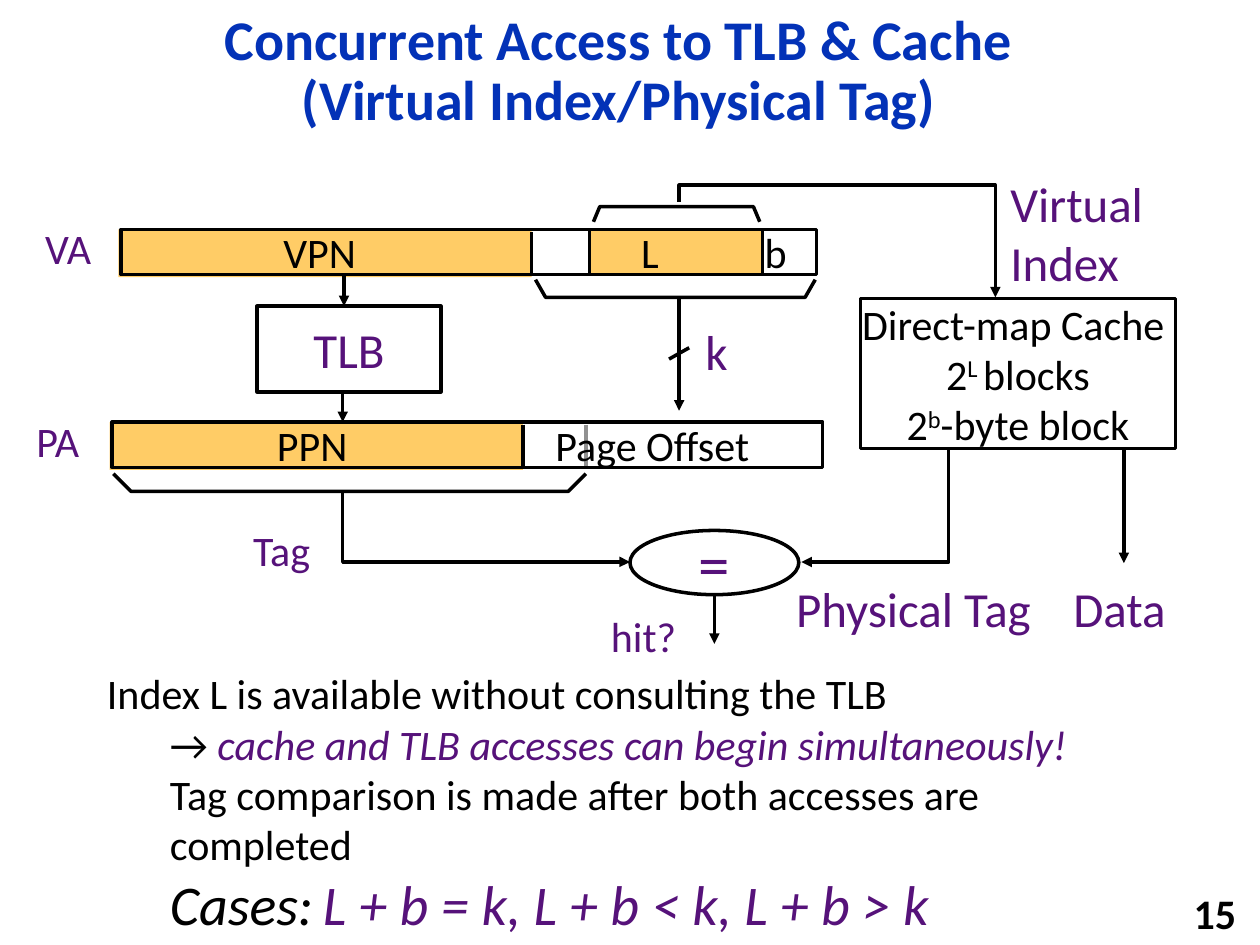
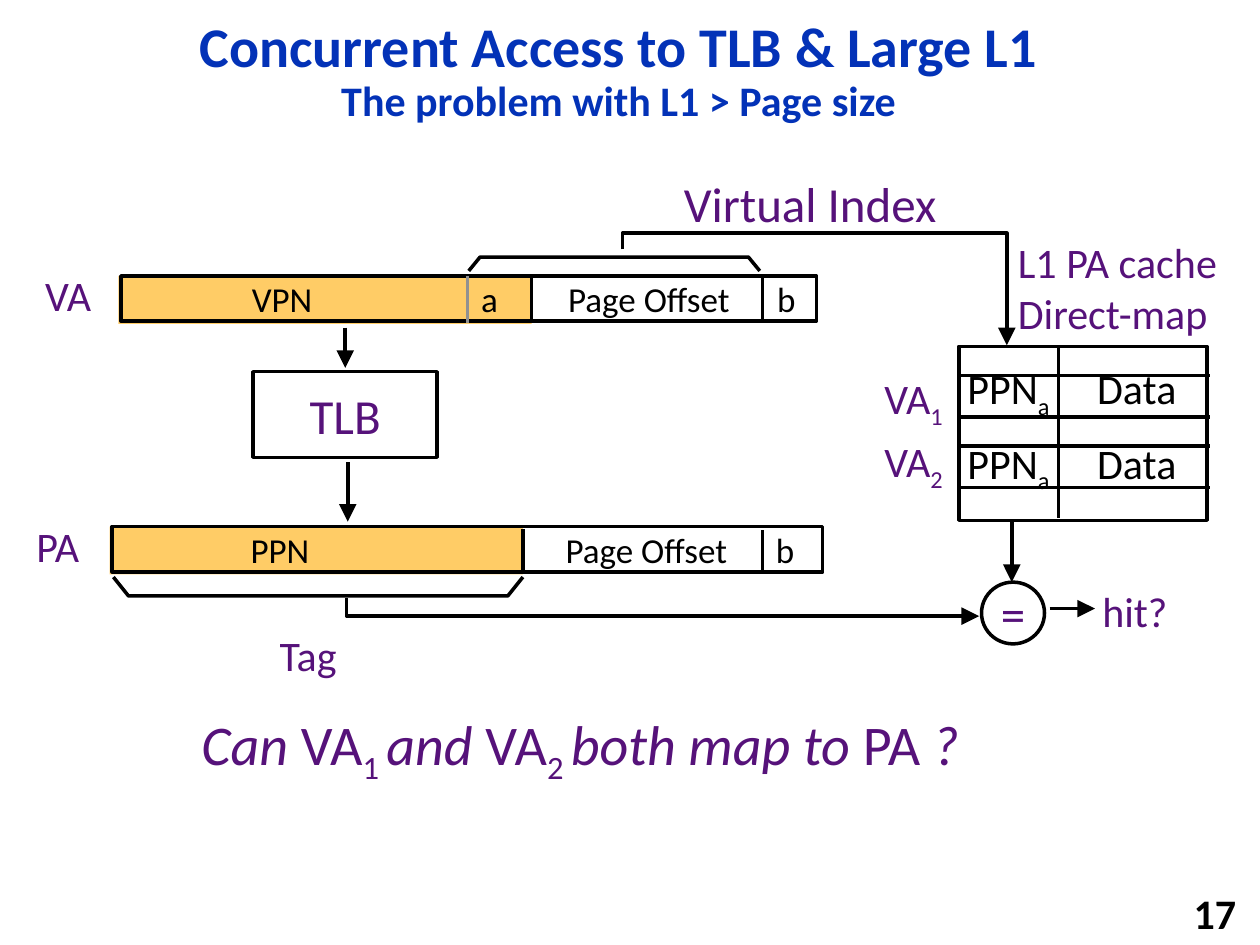
from dataclasses import dataclass
from lxml import etree
from pptx import Presentation
from pptx.dml.color import RGBColor
from pptx.enum.shapes import MSO_CONNECTOR, MSO_SHAPE
from pptx.enum.text import MSO_ANCHOR, MSO_AUTO_SIZE, PP_ALIGN
from pptx.oxml.ns import qn
from pptx.util import Pt

RECT, OVAL = MSO_SHAPE.RECTANGLE, MSO_SHAPE.OVAL
STRAIGHT = MSO_CONNECTOR.STRAIGHT
TOP, MID = MSO_ANCHOR.TOP, MSO_ANCHOR.MIDDLE
LEFT, CENTER, RIGHT = PP_ALIGN.LEFT, PP_ALIGN.CENTER, PP_ALIGN.RIGHT
FIXED = MSO_AUTO_SIZE.NONE
PX = 9144


@dataclass(frozen=True)
class Theme:
    """Colours, type sizes and line width."""
    font: str = "Calibri"
    blue: str = "0332B7"
    plum: str = "56127A"
    gold: str = "FFCC66"
    black: str = "000000"
    white: str = "FFFFFF"
    gray: str = "919191"
    small: int = 20
    text: int = 24
    large: int = 28
    title: int = 32
    sign: int = 36
    line: int = 2


T = Theme()
SUB = {"base": -25}
SUPER = {"base": 30}
PLUM = {"hue": T.plum}
SLANT = {"italic": True}


class Deck:
    """Holds the style and the current slide."""

    def __init__(self):
        """Start a 10 by 7.5 inch deck."""
        self.show = Presentation()
        self.show.slide_width, self.show.slide_height = 1000 * PX, 750 * PX

    def page(self, title, number, head):
        """Add a slide with its title, number and arrowhead size."""
        self.slide = self.show.slides.add_slide(self.show.slide_layouts[5])
        self.shapes, self.head = self.slide.shapes, head
        self.slide.background.fill.solid()
        self.slide.background.fill.fore_color.rgb = RGBColor.from_string(T.white)
        hold = self.shapes.title
        hold.left, hold.top, hold.width, hold.height = self.scale(92, 17, 798, 81)
        self.fill_text(hold, [title], T.title, T.blue, CENTER, MID, True, True)
        hold.text_frame.paragraphs[0].line_spacing = 0.9
        self.label((783, 708, 208, 32), [number], hue=T.black, align=RIGHT,
                   anchor=MID, bold=True)

    def scale(self, *sizes):
        """Turn px into EMU."""
        return [size * PX for size in sizes]

    def add_run(self, para, text, size, hue, bold=False, italic=False, base=0):
        """Add one run to a paragraph."""
        run = para.add_run()
        run.text = text
        font = run.font
        font.name, font.size = T.font, Pt(size)
        font.bold, font.italic = bold, italic
        font.color.rgb = RGBColor.from_string(hue)
        if base:
            font._element.set("baseline", str(base * 1000))

    def fill_text(self, shape, paras, size, hue, align, anchor, bold=False,
                  wrap=False, tabs=(), dents=()):
        """Write paragraphs of runs into a shape."""
        frame = shape.text_frame
        frame.auto_size, frame.word_wrap = FIXED, wrap
        frame.vertical_anchor = anchor
        for i, runs in enumerate(paras):
            para = frame.add_paragraph() if i else frame.paragraphs[0]
            para.alignment = align
            props = para._p.get_or_add_pPr()
            if dents:
                props.set("marL", str(dents[i] * PX))
                props.set("indent", "0")
            if tabs:
                stops = etree.SubElement(props, qn("a:tabLst"))
                for tab in tabs:
                    etree.SubElement(stops, qn("a:tab"), pos=str(tab * PX), algn="l")
            for run in [(runs, {})] if isinstance(runs, str) else runs:
                if run is None:
                    para.add_line_break()
                    continue
                text, marks = run
                look = {"size": size, "hue": hue, "bold": bold} | marks
                self.add_run(para, text, **look)

    def label(self, area, paras, size=T.text, hue=T.plum, align=LEFT,
              anchor=TOP, **more):
        """Add a text box."""
        box = self.shapes.add_textbox(*self.scale(*area))
        self.fill_text(box, paras, size, hue, align, anchor, **more)

    def box(self, area, paras=(), size=T.text, hue=T.plum, fill=None, edge=True,
            kind=RECT, align=CENTER, **more):
        """Add a preset shape with optional text."""
        shape = self.shapes.add_shape(kind, *self.scale(*area))
        shape.shadow.inherit = False
        if fill:
            shape.fill.solid()
            shape.fill.fore_color.rgb = RGBColor.from_string(fill)
        else:
            shape.fill.background()
        if edge:
            self.ink(shape.line, T.black)
        else:
            shape.line.fill.background()
        if paras:
            self.fill_text(shape, paras, size, hue, align, MID, **more)
        return shape

    def ink(self, line, hue, arrow=False):
        """Set a line's colour, width and arrowhead."""
        line.color.rgb = RGBColor.from_string(hue)
        line.width = Pt(T.line)
        if arrow:
            etree.SubElement(line._get_or_add_ln(), qn("a:tailEnd"),
                             type="triangle", w=self.head, len=self.head)

    def line(self, x1, y1, x2, y2, arrow=False, hue=T.black):
        """Add a straight line or arrow."""
        link = self.shapes.add_connector(STRAIGHT, *self.scale(x1, y1, x2, y2))
        self.ink(link.line, hue, arrow)
        etree.SubElement(link._element.spPr, qn("a:effectLst"))

    def bend(self, *points, arrow=True):
        """Add an open bent line."""
        first, *rest = [self.scale(*point) for point in points]
        pen = self.shapes.build_freeform(*first, scale=1.0)
        pen.add_line_segments(rest, close=False)
        shape = pen.convert_to_shape()
        shape.shadow.inherit = False
        shape.fill.background()
        self.ink(shape.line, T.black, arrow)

    def brace(self, left, right, tip, flat, dent):
        """Add a flat brace from its tips to its bar."""
        self.bend((left, tip), (left + dent, flat), (right - dent, flat),
                  (right, tip), arrow=False)

    def bar(self, name, left, top, width, text, tabs, size):
        """Add an address bar with its name and golden page number."""
        self.box((left - 2, top, 328, 38), fill=T.gold, edge=False)
        bar = self.box((left, top, width, 36), [text], size, T.black,
                       align=LEFT, wrap=True, tabs=tabs)
        bar.text_frame.margin_right = 0
        self.line(left + 326, top + 2, left + 326, top + 36)
        self.label((left - 70, top - 10, 59, 50), [name])

    def lookup(self, x, y):
        """Add the TLB box."""
        self.box((x, y, 146, 68), ["TLB"], T.large)


def draw_index(deck):
    """Draw the virtual index slide."""
    deck.page([("Concurrent Access to TLB & Cache", {}), None,
               ("(Virtual Index/Physical Tag)", {})], "15", "med")
    body = [
        "Index L is available without consulting the TLB",
        [("→ ", {}),
         ("cache and TLB accesses can begin simultaneously!", PLUM | SLANT)],
        "Tag comparison is made after both accesses are completed",
        [("Cases:", SLANT | {"size": T.title}), (" ", SLANT),
         ("L + b = k, L + b < k, L + b > k",
          PLUM | SLANT | {"size": T.title})],
    ]
    deck.label((75, 525, 829, 185), body, hue=T.black, wrap=True,
               dents=(0, 50, 50, 50))
    deck.line(465, 337, 465, 372, hue=T.gray)
    deck.box((469, 182, 137, 36), fill=T.gold, edge=False)
    deck.bar("VA", 96, 182, 552, "\tVPN\tL\tb", (119, 403, 501), T.text)
    deck.bar("PA", 89, 335, 564, "\tPPN\tPage Offset", (121, 342), T.text)
    for x in (468, 605):
        deck.line(x, 183, x, 217)
    deck.lookup(204, 243)
    deck.box((683, 237, 250, 119),
             ["Direct-map Cache ",
              [("2", {}), ("L ", SUPER), ("blocks", {})],
              [("2", {}), ("b", SUPER), ("-byte block", {})]], hue=T.black)
    deck.box((500, 421, 134, 51), ["="], T.sign, fill=T.white, kind=OVAL)
    for x, top, end in ((273, 218, 243), (272, 312, 335), (539, 236, 326),
                        (567, 471, 511), (892, 356, 447)):
        deck.line(x, top, x, end, arrow=True)
    deck.line(547, 276, 531, 285)
    deck.bend((272, 390), (272, 446), (500, 446))
    deck.bend((753, 357), (753, 446), (636, 446))
    deck.bend((539, 160), (539, 147), (790, 147), (790, 236))
    deck.brace(471, 603, 176, 164, 5)
    deck.brace(425, 647, 222, 236, 8)
    deck.brace(90, 465, 376, 390, 14)
    deck.label((475, 480, 72, 50), ["hit?"])
    deck.label((191, 411, 68, 50), ["Tag"])
    for area, paras in (((842, 454, 95, 57), ["Data"]),
                        ((622, 454, 213, 57), ["Physical Tag"]),
                        ((792, 133, 127, 104), ["Virtual", "Index"]),
                        ((550, 250, 38, 57), ["k"])):
        deck.label(area, paras, T.large)


def draw_large(deck):
    """Draw the large L1 slide."""
    deck.page([("Concurrent Access to TLB & Large L1", {}), None,
               ("The problem with L1 > Page size", {"size": T.text})], "17", "lg")
    ask = [("Can", SLANT), (" VA", {}), ("1 ", SUB), ("and", SLANT),
           (" VA", {}), ("2 ", SUB), ("both map to", SLANT),
           (" PA ", {}), ("?", SLANT)]
    deck.label((150, 558, 660, 64), [ask], T.title)
    deck.bar("VA", 96, 219, 552, "\tVPN\ta\tPage Offset\tb",
             (94, 276, 345, 511), T.small)
    deck.bar("PA", 89, 418, 564, "\tPPN\tPage Offset\tb",
             (100, 350, 517), T.small)
    deck.line(371, 219, 371, 256, hue=T.gray)
    for top in (221, 421):
        deck.line(605, top, 605, top + 34)
    deck.lookup(201, 295)
    deck.brace(372, 603, 215, 204, 9)
    deck.brace(90, 415, 458, 473, 12)
    deck.bend((494, 198), (494, 185), (799, 185), (799, 274))
    deck.bend((275, 475), (275, 489), (777, 489))
    deck.box((761, 275, 197, 138))
    deck.line(840, 275, 840, 411)
    for i, top in enumerate((298, 354)):
        for y in (top, top + 33):
            deck.line(762, y, 960, y)
        deck.label((758, 283 + 59 * i, 190, 51),
                   [[("PPN", {}), ("a", SUB), ("\tData", {})]],
                   hue=T.black, wrap=True, tabs=(103,))
        deck.label((692, 291 + 50 * i, 70, 50),
                   [[("VA", {}), (str(i + 1), SUB)]])
    deck.box((779, 462, 50, 49), ["="], T.large, fill=T.white, kind=OVAL)
    for x1, y1, x2, y2 in ((274, 260, 274, 292), (276, 367, 276, 414),
                           (803, 414, 803, 462), (833, 483, 869, 483)):
        deck.line(x1, y1, x2, y2, arrow=True)
    deck.label((212, 495, 68, 50), ["Tag"])
    deck.label((865, 460, 72, 50), ["hit?"])
    deck.label((798, 183, 182, 91), ["L1 PA cache", "Direct-map"])
    deck.label((533, 133, 223, 57), ["Virtual Index"], T.large)


def main():
    """Build and save the deck."""
    deck = Deck()
    draw_index(deck)
    draw_large(deck)
    deck.show.save("out.pptx")


if __name__ == "__main__":
    main()
